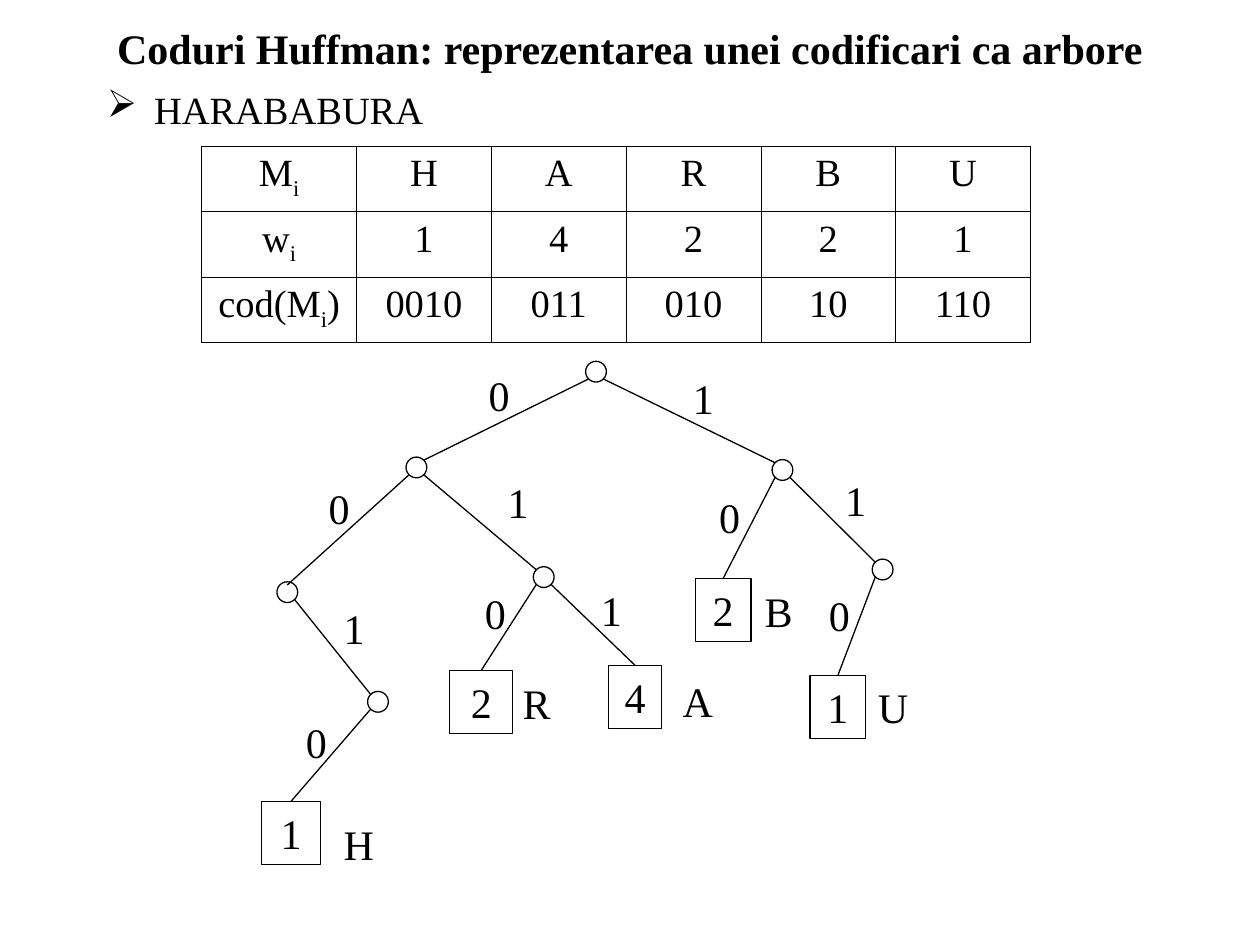
from dataclasses import dataclass
from typing import Optional

from lxml import etree
from pptx import Presentation
from pptx.dml.color import RGBColor
from pptx.enum.shapes import MSO_CONNECTOR, MSO_SHAPE
from pptx.enum.text import MSO_ANCHOR, PP_ALIGN
from pptx.oxml.ns import qn
from pptx.util import Inches, Pt

CENTER, LEFT = PP_ALIGN.CENTER, PP_ALIGN.LEFT
TOP, MIDDLE = MSO_ANCHOR.TOP, MSO_ANCHOR.MIDDLE
RECT, OVAL, STRAIGHT = MSO_SHAPE.RECTANGLE, MSO_SHAPE.OVAL, MSO_CONNECTOR.STRAIGHT

# The slide is a grid of 100 columns by 75 rows
COLUMNS, ROWS, CELL = 100, 75, 0.1
BLACK, FONT = "000000", "Times New Roman"
TREE_SIZE, BODY_SIZE = 24, 22
DIAMETER, JOINT, BOX_HEIGHT = 1.65, 0.57, 5


@dataclass
class Node:
    """Inner tree node, placed by its centre; edges enter at entry from it."""
    x: float
    y: float
    entry: float = JOINT


@dataclass
class Leaf:
    """Weight box, placed by its top centre, with its letter beside it."""
    x: float
    y: float
    width: float
    weight: str
    letter: str
    letter_x: float
    letter_y: float


@dataclass
class Edge:
    parent: str
    child: str
    bit: str
    bit_x: float
    bit_y: float


NODES = {
    "root": Node(47.3, 29.5),
    "0": Node(33.05, 37.1),
    "1": Node(62.1, 37.3),
    "00": Node(22.8, 47, entry=0),
    "01": Node(43.15, 45.8),
    "11": Node(70.05, 45.2),
    "001": Node(30, 55.7),
}
LEAVES = {
    "0010": Leaf(23.1, 63.6, 4.7, "1", "H", 26.3, 64.5),
    "010": Leaf(38.2, 53.2, 5, "2", "R", 40.5, 53.3),
    "011": Leaf(50.4, 52.8, 4.2, "4", "A", 53.2, 53.1),
    "10": Leaf(57.4, 45.9, 4.4, "2", "B", 59.7, 46),
    "110": Leaf(66.5, 53.6, 4.4, "1", "U", 68.7, 53.6),
}
EDGES = [
    Edge("root", "0", "0", 37.8, 28.8), Edge("root", "1", "1", 54, 29.1),
    Edge("0", "00", "0", 25.1, 37.8), Edge("0", "01", "1", 39.3, 37.3),
    Edge("1", "10", "0", 56.1, 38.5), Edge("1", "11", "1", 66.1, 37.2),
    Edge("00", "001", "1", 26.3, 47.3), Edge("001", "0010", "0", 23.3, 56.4),
    Edge("01", "010", "0", 37.5, 46.1), Edge("01", "011", "1", 46.7, 45.9),
    Edge("11", "110", "0", 64.8, 46.3),
]
# An underscore stands before a subscript letter
CODE_TABLE = [
    ["M_i", "H", "A", "R", "B", "U"],
    ["w_i", "1", "4", "2", "2", "1"],
    ["cod(M_i)", "0010", "011", "010", "10", "110"],
]


def grid(cells: float) -> int:
    return Inches(cells * CELL)


def color(value: str) -> RGBColor:
    return RGBColor.from_string(value)


def style_run(run, size: float, bold: bool = False) -> None:
    for name, value in {"name": FONT, "size": Pt(size), "bold": bold}.items():
        setattr(run.font, name, value)
    run.font.color.rgb = color(BLACK)


def write(frame, text: str, size: float, align, anchor, wrap: bool, bold: bool = False) -> None:
    layout = {"word_wrap": wrap, "vertical_anchor": anchor,
              "margin_left": grid(1), "margin_right": grid(1),
              "margin_top": grid(0.5), "margin_bottom": grid(0.5)}
    for name, value in layout.items():
        setattr(frame, name, value)
    paragraph = frame.paragraphs[0]
    paragraph.alignment = align
    run = paragraph.add_run()
    run.text = text
    style_run(run, size, bold)


def add_text(slide, x: float, y: float, width: float, height: float, text: str,
             size: float = TREE_SIZE, align=LEFT, anchor=TOP, wrap: bool = False,
             bold: bool = False):
    box = slide.shapes.add_textbox(grid(x), grid(y), grid(width), grid(height))
    write(box.text_frame, text, size, align, anchor, wrap, bold)
    return box


def add_outline(slide, kind, x: float, y: float, width: float, height: float):
    outline = slide.shapes.add_shape(kind, grid(x), grid(y), grid(width), grid(height))
    outline.shadow.inherit = False
    outline.fill.background()
    outline.line.color.rgb = color(BLACK)
    outline.line.width = Pt(0.75)
    return outline


def add_edge(slide, edge: Edge) -> None:
    parent = NODES[edge.parent]
    child = NODES.get(edge.child) or LEAVES[edge.child]
    side = 1 if child.x > parent.x else -1
    end_x, end_y = child.x, child.y
    if edge.child in NODES:
        end_x, end_y = child.x - side * child.entry, child.y - JOINT
    line = slide.shapes.add_connector(
        STRAIGHT, grid(parent.x + side * JOINT), grid(parent.y + JOINT), grid(end_x), grid(end_y))
    line.line.color.rgb = color(BLACK)
    line.line.width = Pt(0.75)
    etree.SubElement(line._element.spPr, qn("a:effectLst"))
    add_text(slide, edge.bit_x, edge.bit_y, 3.6, BOX_HEIGHT, edge.bit)


def add_leaf(slide, leaf: Leaf) -> None:
    box = add_outline(slide, RECT, leaf.x - leaf.width / 2, leaf.y, leaf.width, BOX_HEIGHT)
    write(box.text_frame, leaf.weight, TREE_SIZE, CENTER, MIDDLE, True)
    add_text(slide, leaf.letter_x, leaf.letter_y, 4.4, BOX_HEIGHT, leaf.letter)


def add_borders(cell) -> None:
    properties = cell._tc.get_or_add_tcPr()
    for index, side in enumerate(("lnL", "lnR", "lnT", "lnB")):
        border = etree.Element(qn(f"a:{side}"), w=str(Pt(0.45)))
        fill = etree.SubElement(border, qn("a:solidFill"))
        etree.SubElement(fill, qn("a:srgbClr"), val=BLACK)
        properties.insert(index, border)


def fill_cell(cell, text: str) -> None:
    cell.fill.background()
    add_borders(cell)
    cell.margin_left = cell.margin_right = grid(1)
    cell.margin_top = cell.margin_bottom = grid(0.5)
    paragraph = cell.text_frame.paragraphs[0]
    paragraph.alignment = CENTER
    base, _, rest = text.partition("_")
    for part, shift in ((base, 0), (rest[:1], -25), (rest[1:], 0)):
        if part:
            run = paragraph.add_run()
            run.text = part
            style_run(run, BODY_SIZE)
            if shift:
                run._r.get_or_add_rPr().set("baseline", str(shift * 1000))


def add_code_table(slide, x: float, y: float, first: float, other: float, row: float) -> None:
    count = len(CODE_TABLE[0])
    widths = [first] + [other] * (count - 1)
    table = slide.shapes.add_table(len(CODE_TABLE), count, grid(x), grid(y), grid(sum(widths)),
                                   grid(row * len(CODE_TABLE))).table
    table.first_row = table.horz_banding = False
    for column, width in zip(table.columns, widths):
        column.width = grid(width)
    for r, texts in enumerate(CODE_TABLE):
        table.rows[r].height = grid(row)
        for c, text in enumerate(texts):
            fill_cell(table.cell(r, c), text)


def add_bullet(paragraph, mark: str, indent: float) -> None:
    properties = paragraph._p.get_or_add_pPr()
    properties.set("marL", str(grid(indent)))
    properties.set("indent", str(-grid(indent)))
    etree.SubElement(properties, qn("a:buChar"), char=mark)


def main() -> None:
    deck = Presentation()
    deck.slide_width, deck.slide_height = grid(COLUMNS), grid(ROWS)
    slide = deck.slides.add_slide(deck.slide_layouts[6])

    # Heading and example word
    add_text(slide, 7.5, 0, 85, 7.5, "Coduri Huffman: reprezentarea unei codificari ca arbore",
             align=CENTER, anchor=MIDDLE, wrap=True, bold=True)
    example = add_text(slide, 7.5, 6.3, 85, 5.3, "HARABABURA", BODY_SIZE, wrap=True)
    add_bullet(example.text_frame.paragraphs[0], "➢", 3.75)

    # Code of each letter
    add_code_table(slide, 16, 11.6, 12.3, 10.7, 5.2)

    # Code tree
    for edge in EDGES:
        add_edge(slide, edge)
    for node in NODES.values():
        add_outline(slide, OVAL, node.x - DIAMETER / 2, node.y - DIAMETER / 2, DIAMETER, DIAMETER)
    for leaf in LEAVES.values():
        add_leaf(slide, leaf)

    deck.save("out.pptx")


if __name__ == "__main__":
    main()
